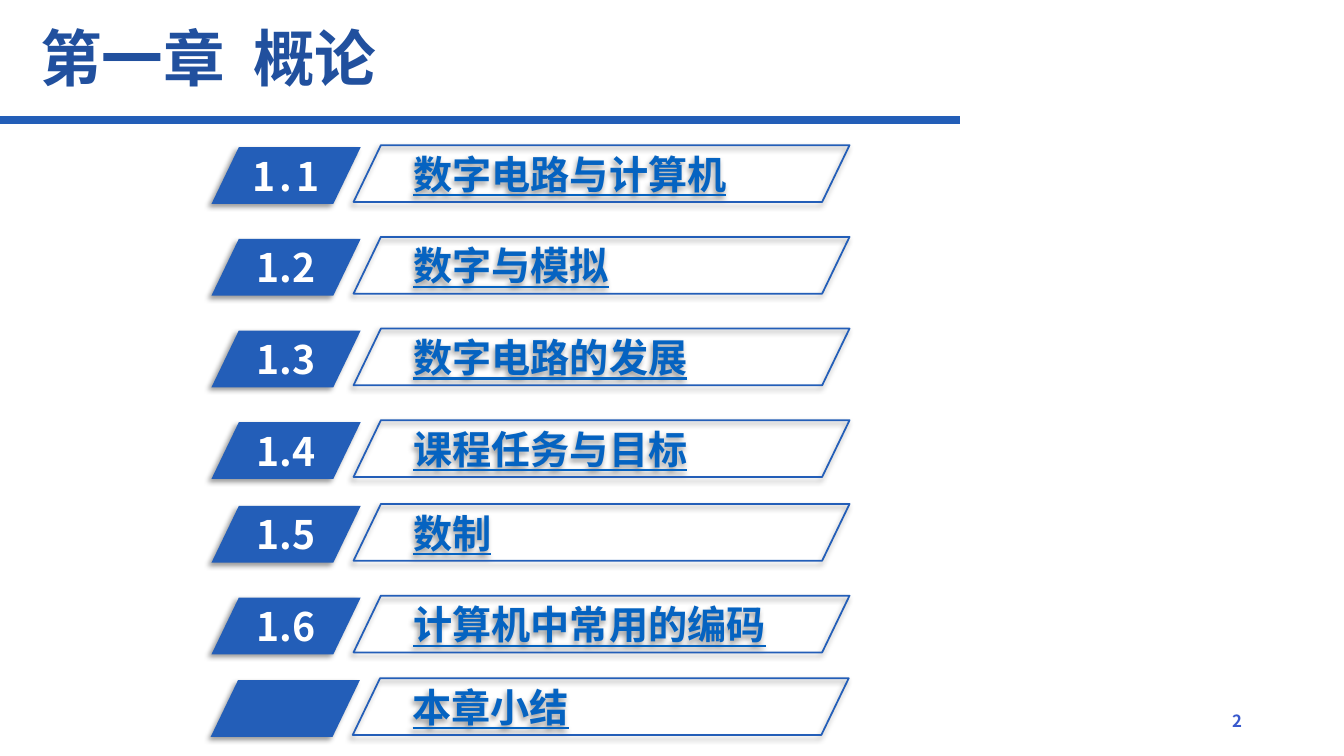
from dataclasses import dataclass

from lxml.etree import SubElement
from pptx import Presentation
from pptx.dml.color import RGBColor
from pptx.enum.shapes import MSO_CONNECTOR as Connector, MSO_SHAPE as Preset
from pptx.enum.text import MSO_ANCHOR as Anchor, PP_ALIGN as Align
from pptx.oxml.ns import qn
from pptx.util import Cm, Pt


@dataclass(frozen=True)
class Theme:
    font: str = "Noto Sans CJK SC"
    title: str = "21509E"
    accent: str = "235EB8"
    link: str = "0563C1"
    white: str = "FFFFFF"
    number: str = "3859CD"
    title_size: int = 44
    entry_size: int = 28
    number_size: int = 12


THEME = Theme()
ROW_STEP = 2.31
ROW_HEIGHT = 1.43
BADGE_WIDTH, BADGE_DROP = 3.76, 0.05
LABEL_OFFSET, LABEL_WIDTH = 3.58, 12.5

# Each block of evenly spaced rows: left, top, entries
CONTENTS = [
    (5.33, 3.66, [("1.1", "数字电路与计算机"), ("1.2", "数字与模拟"),
                  ("1.3", "数字电路的发展"), ("1.4", "课程任务与目标")]),
    (5.33, 12.7, [("1.5", "数制"), ("1.6", "计算机中常用的编码")]),
    (5.31, 17.09, [("", "本章小结")]),
]


def rgb(value):
    return RGBColor.from_string(value)


def place(shape, left, top, width, height):
    shape.left, shape.top = Cm(left), Cm(top)
    shape.width, shape.height = Cm(width), Cm(height)


def write(shape, parts, size, color, align):
    """Write (text, letter spacing) parts as one middle-anchored paragraph."""
    frame = shape.text_frame
    frame.word_wrap = True
    frame.vertical_anchor = Anchor.MIDDLE
    para = frame.paragraphs[0]
    para.alignment = align
    para.font.size, para.font.bold = Pt(size), True
    para.font.name = THEME.font
    para.font.color.rgb = rgb(color)
    for text, spacing in parts:
        span = para.add_run()
        span.text = text
        props = span.font._element
        if spacing:
            props.set("spc", str(spacing * 100))
        SubElement(props, qn("a:ea"), typeface=THEME.font)
    return para


def cast_shadow(shape):
    """Soft shadow falling to the lower left."""
    shape.shadow.inherit = False
    effects = shape._element.spPr.find(qn("a:effectLst"))
    shadow = SubElement(effects, qn("a:outerShdw"), blurRad=str(Pt(4)),
                        dist=str(Pt(3)), dir="8100000", algn="tr", rotWithShape="0")
    color = SubElement(shadow, qn("a:srgbClr"), val="000000")
    SubElement(color, qn("a:alpha"), val="40000")


def add_slanted(page, left, top, width):
    shape = page.shapes.add_shape(Preset.PARALLELOGRAM, Cm(left), Cm(top),
                                  Cm(width), Cm(ROW_HEIGHT))
    shape.adjustments[0] = 0.482
    cast_shadow(shape)
    return shape


def add_heading(page, left, top, width, height):
    title = page.shapes.title
    place(title, left, top, width, height)
    write(title, [("第一章", 0), (" ", 10), ("概论", 0)],
          THEME.title_size, THEME.title, Align.LEFT)


def add_rule(page, left, top, width):
    rule = page.shapes.add_connector(Connector.STRAIGHT, Cm(left), Cm(top),
                                     Cm(left + width), Cm(top))
    rule.line.color.rgb = rgb(THEME.accent)
    rule.line.width = Pt(6)
    SubElement(rule._element.spPr, qn("a:effectLst"))


def add_entry(page, left, top, number, topic):
    # Number badge
    badge = add_slanted(page, left, top + BADGE_DROP, BADGE_WIDTH)
    badge.fill.solid()
    badge.fill.fore_color.rgb = rgb(THEME.accent)
    badge.line.fill.background()
    if number:
        spacing = 3 if number == "1.1" else 0
        write(badge, [(number, spacing)], THEME.entry_size, THEME.white, Align.CENTER)

    # Outlined topic
    label = add_slanted(page, left + LABEL_OFFSET, top, LABEL_WIDTH)
    label.fill.background()
    label.line.color.rgb = rgb(THEME.accent)
    label.line.width = Pt(1.25)
    frame = label.text_frame
    frame.margin_left = frame.margin_right = Cm(0.18)
    frame.margin_top = frame.margin_bottom = Cm(0.1)
    para = write(label, [(topic, 0)], THEME.entry_size, THEME.link, Align.LEFT)
    para.runs[0].font.underline = True


def add_contents(page, left, top, entries):
    for row, (number, topic) in enumerate(entries):
        add_entry(page, left, top + row * ROW_STEP, number, topic)


def add_page_number(page, left, top, width, height):
    box = page.shapes.add_textbox(Cm(left), Cm(top), Cm(width), Cm(height))
    write(box, [("2", 0)], THEME.number_size, THEME.number, Align.RIGHT)


def main():
    deck = Presentation()
    deck.slide_width, deck.slide_height = Cm(33.87), Cm(19.05)
    page = deck.slides.add_slide(deck.slide_layouts[5])
    add_heading(page, 0.76, 0.46, 12.85, 1.93)
    add_rule(page, 0, 3.02, 24.2)
    for left, top, entries in CONTENTS:
        add_contents(page, left, top, entries)
    add_page_number(page, 23.93, 17.65, 7.62, 1.02)
    deck.save("out.pptx")


if __name__ == "__main__":
    main()
